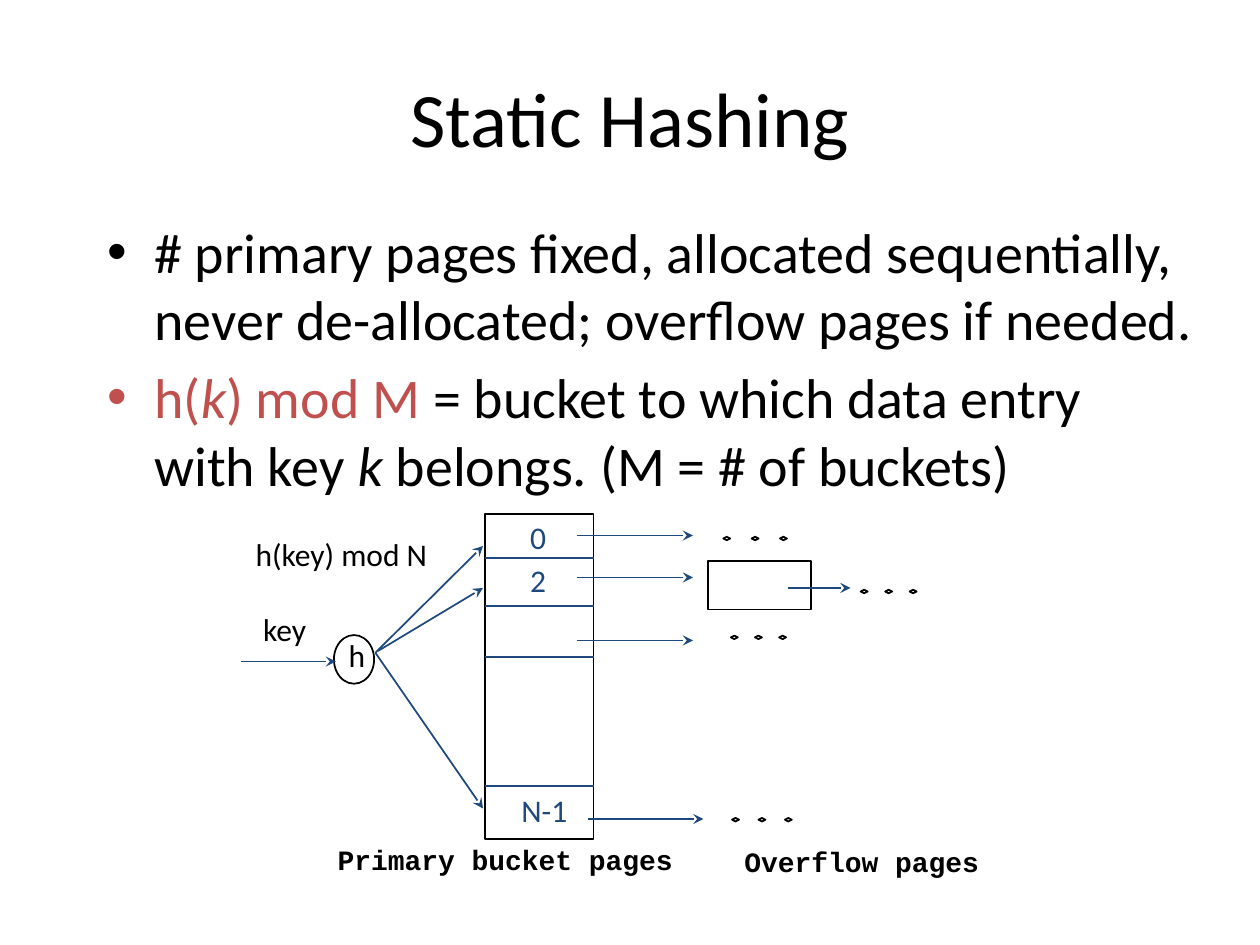
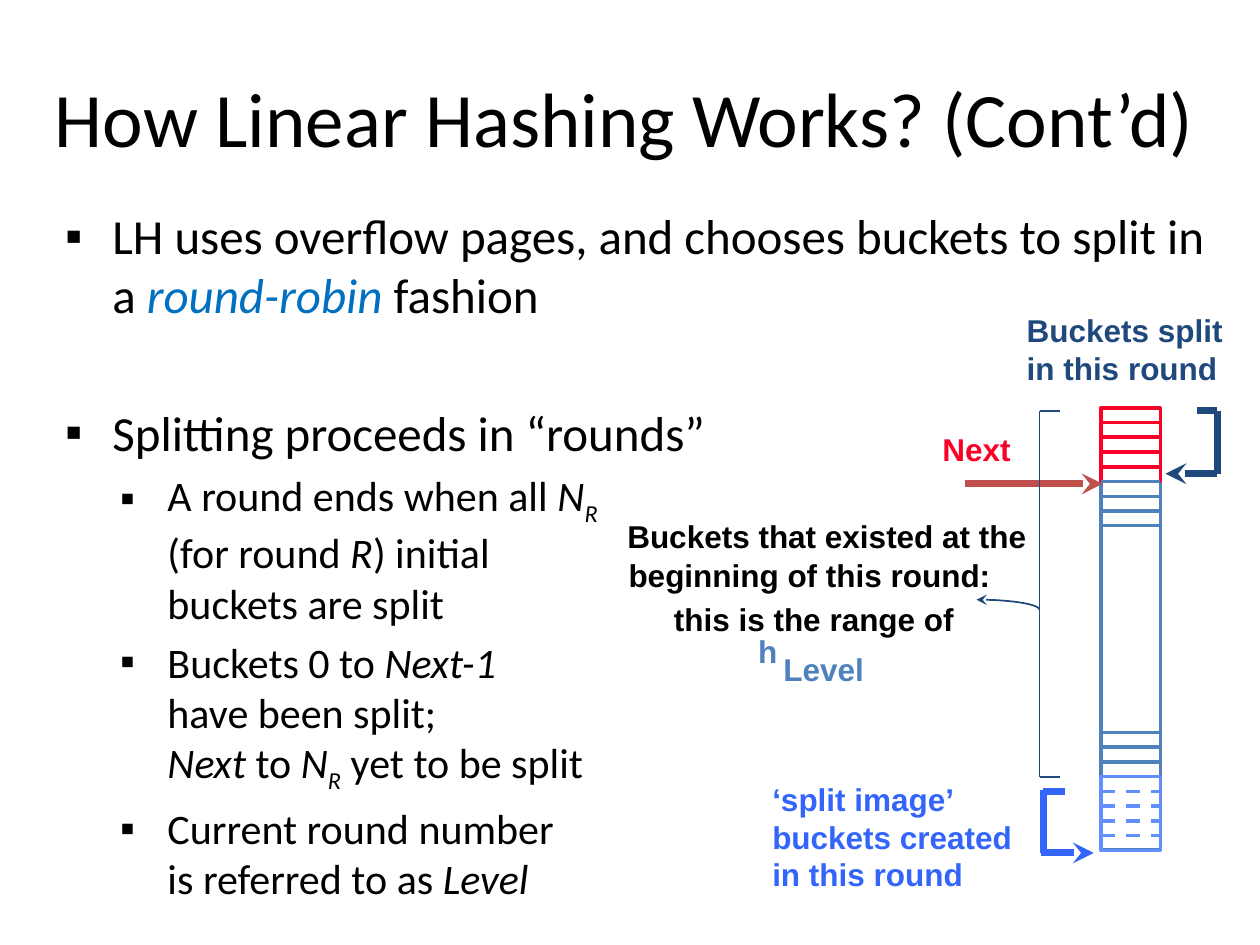
from pptx import Presentation
from pptx.dml.color import RGBColor
from pptx.enum.dml import MSO_LINE
from pptx.enum.shapes import MSO_CONNECTOR, MSO_SHAPE as Kind
from pptx.enum.text import MSO_AUTO_SIZE as Fit
from pptx.oxml.ns import qn
from pptx.util import Pt
from lxml.etree import SubElement as add_tag

hue = RGBColor.from_string
BLACK, NAVY, BLUE, SKY = "000000", "1F497D", "4F81BD", "618FFD"
RED, BRICK, ROYAL, AZURE = "FC0128", "C0504D", "3365FB", "0070C0"
BODY, SANS, MONO = "Calibri", "Arial", "Courier New"


def link(slide, ends, color, width=1, arrow=False, dash=False):
    """Draw a straight line, with an optional arrowhead at its end."""
    x1, y1, x2, y2 = map(Pt, ends)
    wire = slide.shapes.add_connector(MSO_CONNECTOR.STRAIGHT, x1, y1, x2, y2)
    wire.line.color.rgb = hue(color)
    wire.line.width = Pt(width)
    if dash:
        wire.line.dash_style = MSO_LINE.DASH
    props = wire._element.spPr
    if arrow:
        add_tag(props.find(qn("a:ln")), qn("a:tailEnd"), type="stealth")
    add_tag(props, qn("a:effectLst"))


def note(slide, text, place, color, font, size=18):
    """Place a label; all but the body font are bold."""
    box = slide.shapes.add_textbox(*map(Pt, place))
    box.text_frame.word_wrap = False
    box.text_frame.text = text
    for para in box.text_frame.paragraphs:
        for run in para.runs:
            run.font.name, run.font.size = font, Pt(size)
            run.font.bold = font != BODY
            run.font.color.rgb = hue(color)


deck = Presentation()
deck.slide_width, deck.slide_height = Pt(720), Pt(540)

# Titles and lists: paragraph = level, space before, size, left margin, runs
# Run marks: i italic, s subscript, r brick, a azure
pages = [
    ("Static Hashing", (36, 21.6, 648, 90), (54, 120.5, 636, 378), "•", [
        (0, 0, 32, 27, [("# primary pages fixed, allocated sequentially, "
                         "never de-allocated; overflow pages if needed.", "")]),
        (0, 6.4, 32, 27, [
            ("h(", "r"), ("k", "ri"), (") mod M ", "r"),
            ("= bucket to which data entry with key", ""), (" k ", "i"),
            ("belongs", ""), (". ", "i"), ("(M = # of buckets)", "")]),
    ]),
    ("How Linear Hashing Works? (Cont’d)", (6, 21.6, 702, 90),
     (30, 114, 684, 408), "▪", [
        (0, 0, 28, 27, [
            ("LH uses overflow pages, and chooses buckets to split in a ", ""),
            ("round-robin ", "ai"), ("fashion", "")]),
        (1, 45, 28, 27, [("Splitting proceeds in “rounds”", "")]),
        (2, 4.8, 24, 58.5, [
            ("A round ends when all ", ""), ("N", "i"), ("R", "is"),
            ("\n", ""), ("(for round ", ""), ("R", "i"), (") initial", ""),
            ("\n", ""), ("buckets are split", "")]),
        (2, 4.8, 24, 58.5, [
            ("Buckets 0 to ", ""), ("Next-1", "i"), ("\n", ""),
            ("have been split;", ""), ("\n", ""), ("Next", "i"), (" to ", ""),
            ("N", "i"), ("R", "is"), (" yet to be split", "")]),
        (2, 4.8, 24, 58.5, [
            ("Current round number", ""), ("\n", ""),
            ("is referred to as ", ""), ("Level", "i")]),
    ]),
]
for head, top, area, mark, items in pages:
    slide = deck.slides.add_slide(deck.slide_layouts[1])
    title, body = slide.placeholders
    for holder, place in ((title, top), (body, area)):
        holder.left, holder.top, holder.width, holder.height = map(Pt, place)
        holder.text_frame.auto_size = Fit.NONE
    title.text_frame.text = head
    font = title.text_frame.paragraphs[0].runs[0].font
    font.name, font.size, font.color.rgb = BODY, Pt(44), hue(BLACK)
    frame = body.text_frame
    for n, (level, gap, size, left, parts) in enumerate(items):
        para = frame.add_paragraph() if n else frame.paragraphs[0]
        para.level, para.space_before = level, Pt(gap)
        props = para._p.get_or_add_pPr()
        props.set("marL", str(Pt(left)))
        props.set("indent", str(Pt(-27)))
        add_tag(props, qn("a:buFont"), typeface=SANS)
        add_tag(props, qn("a:buChar"), char=mark)
        for text, flags in parts:
            if text == "\n":
                para.add_line_break()
                continue
            run = para.add_run()
            run.text = text
            run.font.name, run.font.size = BODY, Pt(size)
            run.font.italic = "i" in flags
            tint = BRICK if "r" in flags else AZURE if "a" in flags else BLACK
            run.font.color.rgb = hue(tint)
            if "s" in flags:
                run.font._element.set("baseline", "-25000")
static, linear = deck.slides

# Outlines of both diagrams
X, Y, WIDE, ROW = 629.3, 233, 33.8, 8.43  # linear hashing bucket column
boxes = [
    (static, Kind.RECTANGLE, (277.2, 293.8, 62, 185.7), BLACK, 1),
    (static, Kind.RECTANGLE, (404.6, 320.4, 58.7, 28), BLACK, 1),
    (static, Kind.OVAL, (190.8, 362.9, 23, 27.8), BLACK, 1),
    (linear, Kind.ARC, (522, 342.7, 72, 11.5), NAVY, 1),
]
for x, y, step in ((413.3, 306.7, 16.2), (417.6, 363.2, 13.8),
                   (491.8, 337, 14), (418.3, 467.4, 15.1)):
    for n in range(3):
        spot = (x + n * step, y, 4, 2)
        boxes.append((static, Kind.DIAMOND, spot, BLACK, 1))
for first, last, color in ((0, 30, BLUE), (25, 30, SKY), (0, 5, RED)):
    span = (X, Y + first * ROW, WIDE, (last - first) * ROW)
    boxes.append((linear, Kind.RECTANGLE, span, color, 2))
for slide, kind, place, color, width in boxes:
    shape = slide.shapes.add_shape(kind, *map(Pt, place))
    shape.shadow.inherit = False
    shape.fill.background()
    shape.line.color.rgb = hue(color)
    shape.line.width = Pt(width)
    if kind == Kind.ARC:
        add_tag(shape.line._get_or_add_ln(), qn("a:headEnd"), type="stealth")

# Static hashing: labels
for text, place, color in (
        ("h(key) mod N", (139, 302.4, 115.2, 29), BLACK),
        ("h", (192.2, 360, 23, 29), BLACK),
        ("key", (143.3, 344.9, 40.3, 29), BLACK),
        ("0", (295.9, 292.3, 23, 29), NAVY),
        ("2", (295.9, 316.8, 23, 29), NAVY),
        ("N-1", (290.9, 448.6, 42.5, 29), NAVY)):
    note(static, text, place, color, BODY)
note(static, "Primary bucket pages", (185.8, 478.1, 206, 26), BLACK, MONO, 16)
note(static, "Overflow pages", (418.3, 479.2, 148.3, 26), BLACK, MONO, 16)

# Static hashing: arrows and bucket borders
for ends in ((216, 372, 276, 336), (214.5, 373, 276, 312),
             (214.5, 373, 276, 462), (138, 378, 192, 378),
             (330, 306, 396, 306), (330, 330, 396, 330),
             (330, 366, 396, 366), (336, 468, 402, 468),
             (450, 336, 486, 336)):
    link(static, ends, NAVY, arrow=True)
for y in (318.8, 346.5, 375.6, 449.3):
    link(static, (277.2, y, 339.2, y), NAVY)

# Linear hashing: bucket rows
for rows, color in ((range(1, 5), RED), (range(5, 9), BLUE),
                    (range(22, 25), BLUE), (range(26, 30), SKY)):
    for n in rows:
        y = Y + n * ROW
        link(linear, (X, y, X + WIDE, y), color, 2, dash=color == SKY)

# Linear hashing: labels
for text, place, color in (
        ("Level", (440.6, 367.9, 75.6, 36), BLUE),
        ("h", (426.2, 357.8, 35.3, 36), BLUE),
        ("Buckets that existed at the", (351.4, 291.6, 242.6, 29), BLACK),
        ("beginning of this round:", (352.1, 313.9, 226, 29), BLACK),
        ("this is the range of", (378, 339.1, 174.2, 29), BLACK),
        ("Next", (531.4, 241.9, 53.3, 29), RED),
        ("Buckets split\nin this round", (579.6, 174.2, 132.5, 50.4), NAVY),
        ("‘split image’\nbuckets created\nin this round",
         (434.2, 442.1, 157.7, 72.7), ROYAL)):
    note(linear, text, place, color, SANS)

# Linear hashing: brackets and pointers
for ends, color, width, arrow in (
        ((684, 234.7, 695.5, 234.7), NAVY, 4, False),
        ((695.5, 234.7, 695.5, 270.7), NAVY, 4, False),
        ((695.5, 270.7, 666, 270.7), NAVY, 4, True),
        ((608.4, 452.2, 596.2, 452.2), ROYAL, 4, False),
        ((596.2, 451.4, 596.2, 487.4), ROYAL, 4, False),
        ((594.7, 487.4, 625, 487.4), ROYAL, 4, True),
        ((551.5, 276.5, 630, 276.5), BRICK, 4, True),
        ((605.5, 234.7, 594, 234.7), NAVY, 1, False),
        ((594, 234.7, 594, 444.2), NAVY, 1, False),
        ((594, 444.2, 605.5, 444.2), NAVY, 1, False)):
    link(linear, ends, color, width, arrow)

deck.save("out.pptx")
